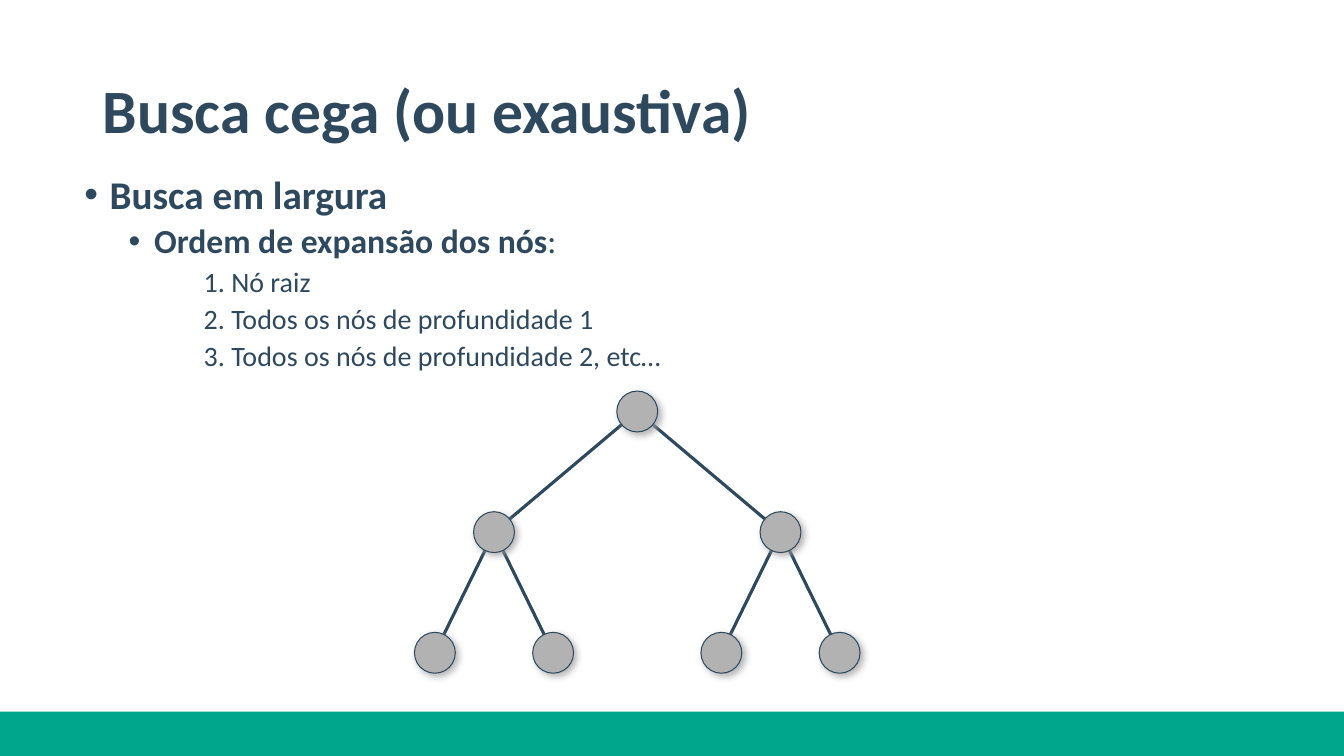
"""Build a slide on breadth-first search with a binary tree."""
from dataclasses import dataclass

from lxml.etree import SubElement
from pptx import Presentation
from pptx.dml.color import RGBColor
from pptx.enum.shapes import MSO_CONNECTOR, MSO_SHAPE
from pptx.enum.text import MSO_ANCHOR, MSO_AUTO_SIZE, PP_ALIGN
from pptx.oxml.ns import qn
from pptx.util import Cm, Pt

RECTANGLE, OVAL = MSO_SHAPE.RECTANGLE, MSO_SHAPE.OVAL
STRAIGHT = MSO_CONNECTOR.STRAIGHT
MIDDLE, TOP = MSO_ANCHOR.MIDDLE, MSO_ANCHOR.TOP
LEFT = PP_ALIGN.LEFT
NO_AUTOFIT = MSO_AUTO_SIZE.NONE

NAVY, GREEN, GRAY, SHADOW = "2E495E", "00A68B", "B2B2B2", "9F9D9E"
FONT = "Calibri"
SLIDE_WIDTH, SLIDE_HEIGHT, BAR_HEIGHT = 33.87, 19.05, 1.12
NODE_SIZE, LEVEL_STEP = 1.03, 3.04
BRANCH_OFFSETS = (3.61, 1.49)


@dataclass
class Item:
    """One line of the list; the plain part follows the bold part."""
    level: int
    size: int
    margin: float
    indent: float = 0
    bold: str = ""
    plain: str = ""
    bullet: str = ""


@dataclass
class Node:
    """A tree node, placed by its centre in centimetres."""
    x: float
    y: float


ITEMS = [
    Item(0, 28, 1.9, -0.64, bold="Busca em largura", bullet="•"),
    Item(1, 24, 3.02, -0.64, bold="Ordem de expansão dos nós", plain=":", bullet="•"),
    Item(2, 20, 4.27, plain="1. Nó raiz"),
    Item(2, 20, 4.27, plain="2. Todos os nós de profundidade 1"),
    Item(2, 20, 4.27, plain="3. Todos os nós de profundidade 2, etc…"),
]


def color(value: str) -> RGBColor:
    """Turn a hex string into a colour."""
    return RGBColor.from_string(value)


def apply(target, values: dict) -> None:
    """Set every attribute named in a dict."""
    for name, value in values.items():
        setattr(target, name, value)


def place(shape, left: float, top: float, width: float, height: float) -> None:
    """Move and size a shape in centimetres."""
    apply(shape, {"left": Cm(left), "top": Cm(top), "width": Cm(width), "height": Cm(height)})


def add_run(paragraph, text: str, size: int, bold: bool) -> None:
    """Add a formatted run of text."""
    run = paragraph.add_run()
    run.text = text
    apply(run.font, {"name": FONT, "size": Pt(size), "bold": bold})
    run.font.color.rgb = color(NAVY)


def fill_title(title) -> None:
    """Write the slide title."""
    place(title, 2.34, 1.02, 29.21, 3.68)
    apply(title.text_frame, {"vertical_anchor": MIDDLE, "auto_size": NO_AUTOFIT, "word_wrap": True})
    paragraph = title.text_frame.paragraphs[0]
    apply(paragraph, {"alignment": LEFT, "line_spacing": 0.9})
    add_run(paragraph, "Busca cega (ou exaustiva)", 44, True)


def format_item(paragraph, item: Item, is_first: bool) -> None:
    """Write one list item with its bullet and indent."""
    properties = paragraph._p.get_or_add_pPr()
    properties.set("marL", str(Cm(item.margin)))
    properties.set("indent", str(Cm(item.indent)))
    if item.bullet:
        SubElement(properties, qn("a:buFont"), typeface="Arial")
        SubElement(properties, qn("a:buChar"), char=item.bullet)
    else:
        SubElement(properties, qn("a:buNone"))
    apply(paragraph, {"level": item.level, "alignment": LEFT, "line_spacing": 0.9,
                      "space_before": Pt(0 if is_first else 5)})
    for text, bold in ((item.bold, True), (item.plain, False)):
        if text:
            add_run(paragraph, text, item.size, bold)


def fill_body(body) -> None:
    """Write the list."""
    place(body, 0.61, 4.29, 24.13, 9.19)
    frame = body.text_frame
    apply(frame, {"vertical_anchor": TOP, "auto_size": NO_AUTOFIT, "word_wrap": True,
                  "margin_right": 0})
    for index, item in enumerate(ITEMS):
        paragraph = frame.add_paragraph() if index else frame.paragraphs[0]
        format_item(paragraph, item, index == 0)


def add_bar(slide) -> None:
    """Draw the band along the bottom edge."""
    bar = slide.shapes.add_shape(RECTANGLE, 0, Cm(SLIDE_HEIGHT - BAR_HEIGHT),
                                 Cm(SLIDE_WIDTH), Cm(BAR_HEIGHT))
    bar.shadow.inherit = False
    bar.fill.solid()
    bar.fill.fore_color.rgb = color(GREEN)
    bar.line.fill.background()


def add_edge(slide, parent: Node, child: Node) -> None:
    """Draw the line between two nodes."""
    edge = slide.shapes.add_connector(STRAIGHT, Cm(parent.x), Cm(parent.y),
                                      Cm(child.x), Cm(child.y))
    edge.line.color.rgb = color(NAVY)
    edge.line.width = Pt(2.25)
    SubElement(edge._element.spPr, qn("a:effectLst"))


def add_node(slide, node: Node) -> None:
    """Draw a node with a soft shadow."""
    circle = slide.shapes.add_shape(OVAL, Cm(node.x - NODE_SIZE / 2), Cm(node.y - NODE_SIZE / 2),
                                    Cm(NODE_SIZE), Cm(NODE_SIZE))
    circle.fill.solid()
    circle.fill.fore_color.rgb = color(GRAY)
    circle.line.color.rgb = color(NAVY)
    circle.line.width = Pt(0.75)
    circle.shadow.inherit = False
    effects = circle._element.spPr.find(qn("a:effectLst"))
    shadow = SubElement(effects, qn("a:outerShdw"), blurRad=str(Pt(5)), dist=str(Pt(3)),
                        dir=str(45 * 60000), algn="tl", rotWithShape="0")
    tint = SubElement(shadow, qn("a:srgbClr"), val=SHADOW)
    SubElement(tint, qn("a:alpha"), val="75000")


def add_tree(slide, root: Node) -> None:
    """Grow the binary tree level by level, edges behind nodes."""
    nodes, parents = [root], [root]
    for offset in BRANCH_OFFSETS:
        children = []
        for parent in parents:
            for side in (-1, 1):
                child = Node(parent.x + side * offset, parent.y + LEVEL_STEP)
                add_edge(slide, parent, child)
                children.append(child)
        nodes += children
        parents = children
    for node in nodes:
        add_node(slide, node)


def main() -> None:
    """Build and save the presentation."""
    presentation = Presentation()
    apply(presentation, {"slide_width": Cm(SLIDE_WIDTH), "slide_height": Cm(SLIDE_HEIGHT)})
    slide = presentation.slides.add_slide(presentation.slide_layouts[1])
    add_bar(slide)
    fill_title(slide.shapes.title)
    fill_body(slide.placeholders[1])
    add_tree(slide, Node(16.06, 10.37))
    presentation.save("out.pptx")


if __name__ == "__main__":
    main()
